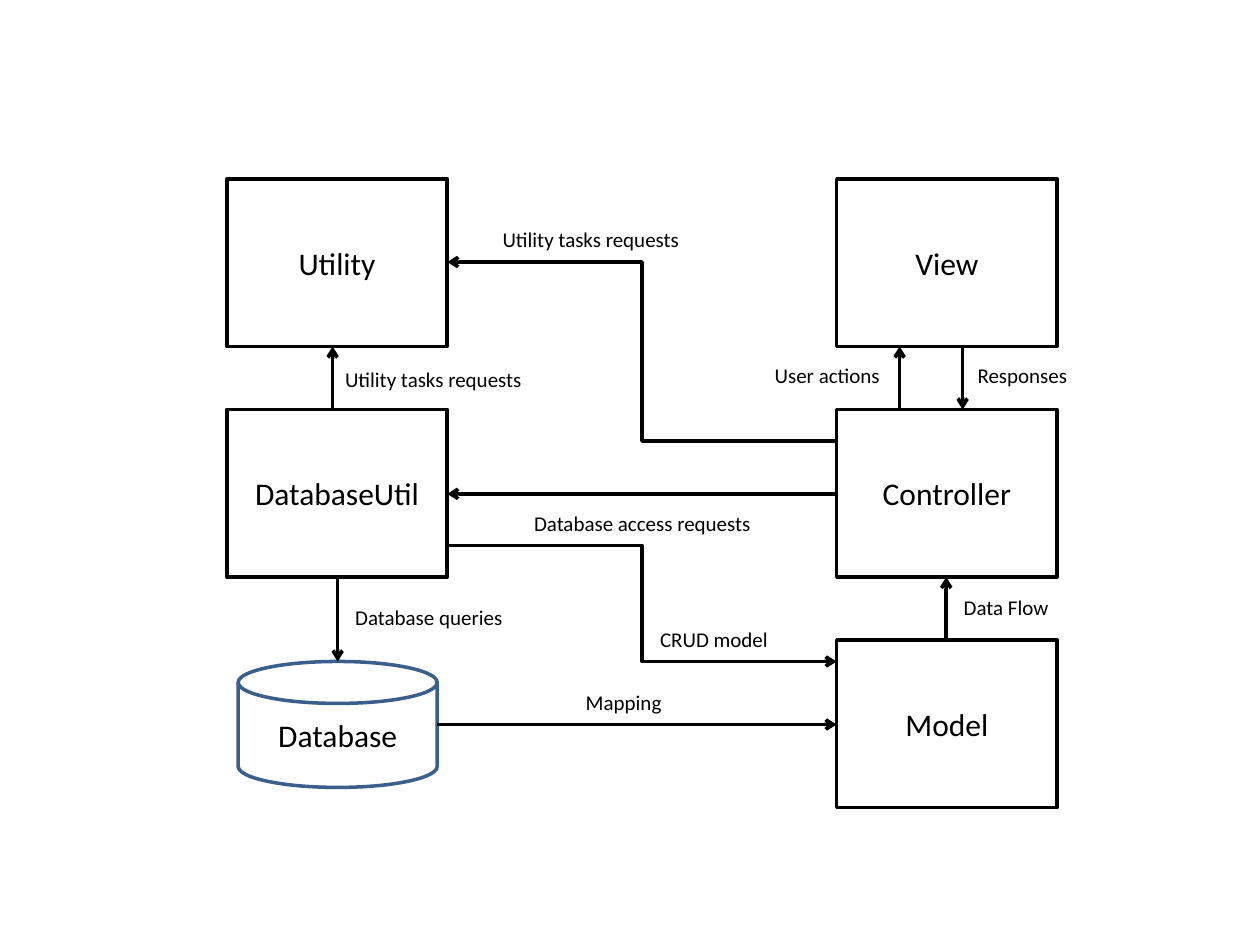
from lxml import etree
from pptx import Presentation
from pptx import util as u
from pptx.dml.color import RGBColor
from pptx.enum import shapes, text
from pptx.oxml.ns import qn


def color(value):
    return RGBColor.from_string(value)


class Diagram:
    font, ink, paper, line_width = "Calibri", "000000", "FFFFFF", 2

    def __init__(self, page):
        self.page = page

    def fill_text(self, frame, words, size, align, **settings):
        for name, value in settings.items():
            setattr(frame, name, value)
        para = frame.paragraphs[0]
        para.alignment = align
        span = para.add_run()
        span.text = words
        for name, value in {"name": self.font, "size": u.Pt(size)}.items():
            setattr(span.font, name, value)
        span.font.color.rgb = color(self.ink)

    def stroke(self, line, value):
        line.color.rgb = color(value)
        line.width = u.Pt(self.line_width)

    def node(self, words, left, top, width, height,
             kind=shapes.MSO_SHAPE.RECTANGLE, outline=ink):
        box = self.page.shapes.add_shape(
            kind, *map(u.Inches, (left, top, width, height)))
        box.shadow.inherit = False
        box.fill.solid()
        box.fill.fore_color.rgb = color(self.paper)
        self.stroke(box.line, outline)
        self.fill_text(box.text_frame, words, 18, text.PP_ALIGN.CENTER,
                       vertical_anchor=text.MSO_ANCHOR.MIDDLE)

    def arrow(self, x1, y1, x2, y2):
        straight = x1 == x2 or y1 == y2
        kind = shapes.MSO_CONNECTOR.STRAIGHT if straight else shapes.MSO_CONNECTOR.ELBOW
        link = self.page.shapes.add_connector(kind, *map(u.Inches, (x1, y1, x2, y2)))
        self.stroke(link.line, self.ink)
        props = link.element.spPr
        etree.SubElement(props.find(qn("a:ln")), qn("a:tailEnd"), type="arrow")
        etree.SubElement(props, qn("a:effectLst"))

    def label(self, words, left, top, width, wrap=False):
        box = self.page.shapes.add_textbox(
            *map(u.Inches, (left, top, width, 0.3)))
        self.fill_text(box.text_frame, words, 12, text.PP_ALIGN.LEFT, word_wrap=wrap,
                       auto_size=text.MSO_AUTO_SIZE.SHAPE_TO_FIT_TEXT)


deck = Presentation()
deck.slide_width, deck.slide_height = u.Inches(10), u.Inches(7.5)
diagram = Diagram(deck.slides.add_slide(deck.slide_layouts[6]))

# Grid of components
WIDTH, HEIGHT, GAP = 1.75, 1.33, 0.5
LEFT, RIGHT = 1.8, 6.64
EDGE = LEFT + WIDTH
rows = [1.42 + i * (HEIGHT + GAP) for i in range(3)]
bottoms = [top + HEIGHT for top in rows]
columns = {LEFT: ["Utility", "DatabaseUtil"],
           RIGHT: ["View", "Controller", "Model"]}
for left, names in columns.items():
    for name, top in zip(names, rows):
        diagram.node(name, left, top, WIDTH, HEIGHT)

# Database cylinder
DISK_LEFT, DISK_TOP, DISK_WIDTH = 1.89, 5.25, 1.58
diagram.node("Database", DISK_LEFT, DISK_TOP, DISK_WIDTH, 1,
             shapes.MSO_SHAPE.FLOWCHART_MAGNETIC_DISK, "3A5F8C")

# Arrows
for ends in [
    (7.51, rows[2], 7.51, bottoms[1]),
    (7.14, rows[1], 7.14, bottoms[0]),
    (7.64, bottoms[0], 7.64, rows[1]),
    (2.64, rows[1], 2.64, bottoms[0]),
    (2.68, bottoms[1], 2.68, DISK_TOP),
    (DISK_LEFT + DISK_WIDTH, 5.75, RIGHT, 5.75),
    (RIGHT, 3.92, EDGE, 3.92),
    (RIGHT, 3.5, EDGE, 2.08),
    (EDGE, 4.33, RIGHT, 5.25),
]:
    diagram.arrow(*ends)

# Arrow labels
for words, left, top, width in [
    ("Data Flow", 7.55, 4.67, 0.88),
    ("User actions", 6.05, 2.83, 1.05),
    ("Responses", 7.66, 2.83, 0.92),
    ("Database access requests", 4.14, 4, 1.94),
    ("Mapping", 4.55, 5.42, 0.81),
    ("Database queries", 2.72, 4.75, 1.38),
    ("CRUD model", 5.14, 4.92, 1.07),
]:
    diagram.label(words, left, top, width)
for left, top in [(3.89, 1.75), (2.64, 2.86)]:
    diagram.label("Utility tasks requests", left, top, 1.83, wrap=True)

deck.save("out.pptx")
